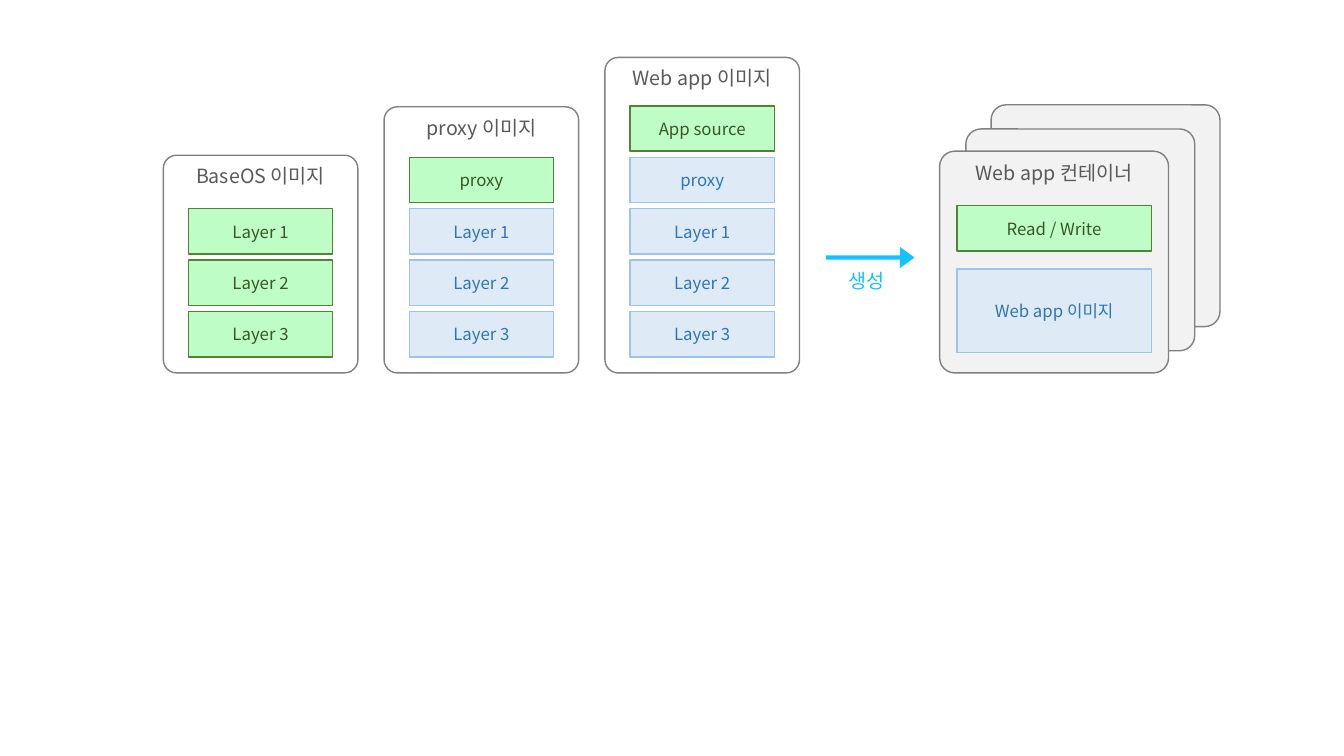
import pptx
import pptx.util
import pptx.dml.color
import pptx.enum.shapes
import pptx.enum.text
import pptx.oxml.ns
import lxml.etree

PX = 9144
FONT = "Noto Sans CJK KR"
COLORS = {
    "white": "FFFFFF",
    "card": "F2F2F2",
    "card_line": "808080",
    "title": "595959",
    "new": "BEFEC6",
    "new_line": "548235",
    "new_text": "385723",
    "base": "DEEBF7",
    "base_line": "9DC3E6",
    "base_text": "2E75B6",
    "arrow": "15C2FF",
}
SHAPE = pptx.enum.shapes.MSO_SHAPE
ANCHOR = pptx.enum.text.MSO_ANCHOR

LAYERS = ["Layer 1", "Layer 2", "Layer 3"]
IMAGES = [
    ("BaseOS 이미지", LAYERS, []),
    ("proxy 이미지", ["proxy"], LAYERS),
    ("Web app 이미지", ["App source"], ["proxy"] + LAYERS),
]
IMAGE_LEFT, IMAGE_PITCH, IMAGE_WIDTH = 162, 219, 193
CARD_BOTTOM = 370
LAYER_INSET, LAYER_WIDTH, LAYER_HEIGHT = 25, 143, 45
LAYER_PITCH, LAST_LAYER_TOP = 51, 309
CONTAINER_WIDTH, CONTAINER_HEIGHT = 227, 220


def rgb(name):
    return pptx.dml.color.RGBColor.from_string(COLORS[name])


def write(frame, text, size, color, anchor):
    frame.vertical_anchor = anchor
    paragraph = frame.paragraphs[0]
    paragraph.alignment = pptx.enum.text.PP_ALIGN.CENTER
    run = paragraph.add_run()
    run.text = text
    run.font.size = pptx.util.Pt(size)
    run.font.color.rgb = rgb(color)
    run.font.name = FONT
    east_asian = lxml.etree.SubElement(
        run.font._element, pptx.oxml.ns.qn("a:ea"))
    east_asian.set("typeface", FONT)


def add_block(slide, kind, box, fill, line=None):
    block = slide.shapes.add_shape(kind, *(value * PX for value in box))
    block.shadow.inherit = False
    block.fill.solid()
    block.fill.fore_color.rgb = rgb(fill)
    if line:
        block.line.color.rgb = rgb(line)
        block.line.width = pptx.util.Pt(1)
    else:
        block.line.fill.background()
    return block


def add_card(slide, box, fill, title=None):
    card = add_block(slide, SHAPE.ROUNDED_RECTANGLE, box, fill, "card_line")
    card.adjustments[0] = 0.068
    if title:
        write(card.text_frame, title, 14, "title", ANCHOR.TOP)


def add_layer(slide, box, text, role):
    layer = add_block(slide, SHAPE.RECTANGLE, box, role, role + "_line")
    write(layer.text_frame, text, 12, role + "_text", ANCHOR.MIDDLE)


def add_image(slide, index, title, new_layers, base_layers):
    left = IMAGE_LEFT + index * IMAGE_PITCH
    top = 154 - index * 97 // 2
    add_card(slide, (left, top, IMAGE_WIDTH, CARD_BOTTOM - top), "white", title)
    stack = [(name, "new") for name in new_layers]
    stack += [(name, "base") for name in base_layers]
    for level, (name, role) in enumerate(reversed(stack)):
        layer_top = LAST_LAYER_TOP - level * LAYER_PITCH
        add_layer(slide, (left + LAYER_INSET, layer_top, LAYER_WIDTH,
                          LAYER_HEIGHT), name, role)


def add_containers(slide):
    for left, top, title in [(983, 104, None), (958, 128, None),
                             (932, 150, "Web app 컨테이너")]:
        add_card(slide, (left, top, CONTAINER_WIDTH, CONTAINER_HEIGHT),
                 "card", title)
    add_layer(slide, (949, 267, 193, 83), "Web app 이미지", "base")
    add_layer(slide, (949, 204, 193, LAYER_HEIGHT), "Read / Write", "new")


def add_creation(slide):
    arrow = add_block(slide, SHAPE.RIGHT_ARROW, (819, 245, 88, 21), "arrow")
    arrow.adjustments[0] = 0.2
    arrow.adjustments[1] = 0.69
    caption = slide.shapes.add_textbox(
        *(value * PX for value in (831, 262, 57, 34)))
    caption.text_frame.word_wrap = False
    caption.text_frame.auto_size = (
        pptx.enum.text.MSO_AUTO_SIZE.SHAPE_TO_FIT_TEXT)
    write(caption.text_frame, "생성", 14, "arrow", ANCHOR.TOP)


def main():
    deck = pptx.Presentation()
    deck.slide_width = 1333 * PX
    deck.slide_height = 750 * PX
    slide = deck.slides.add_slide(deck.slide_layouts[6])
    for index, (title, new_layers, base_layers) in enumerate(IMAGES):
        add_image(slide, index, title, new_layers, base_layers)
    add_containers(slide)
    add_creation(slide)
    deck.save("out.pptx")


if __name__ == "__main__":
    main()
